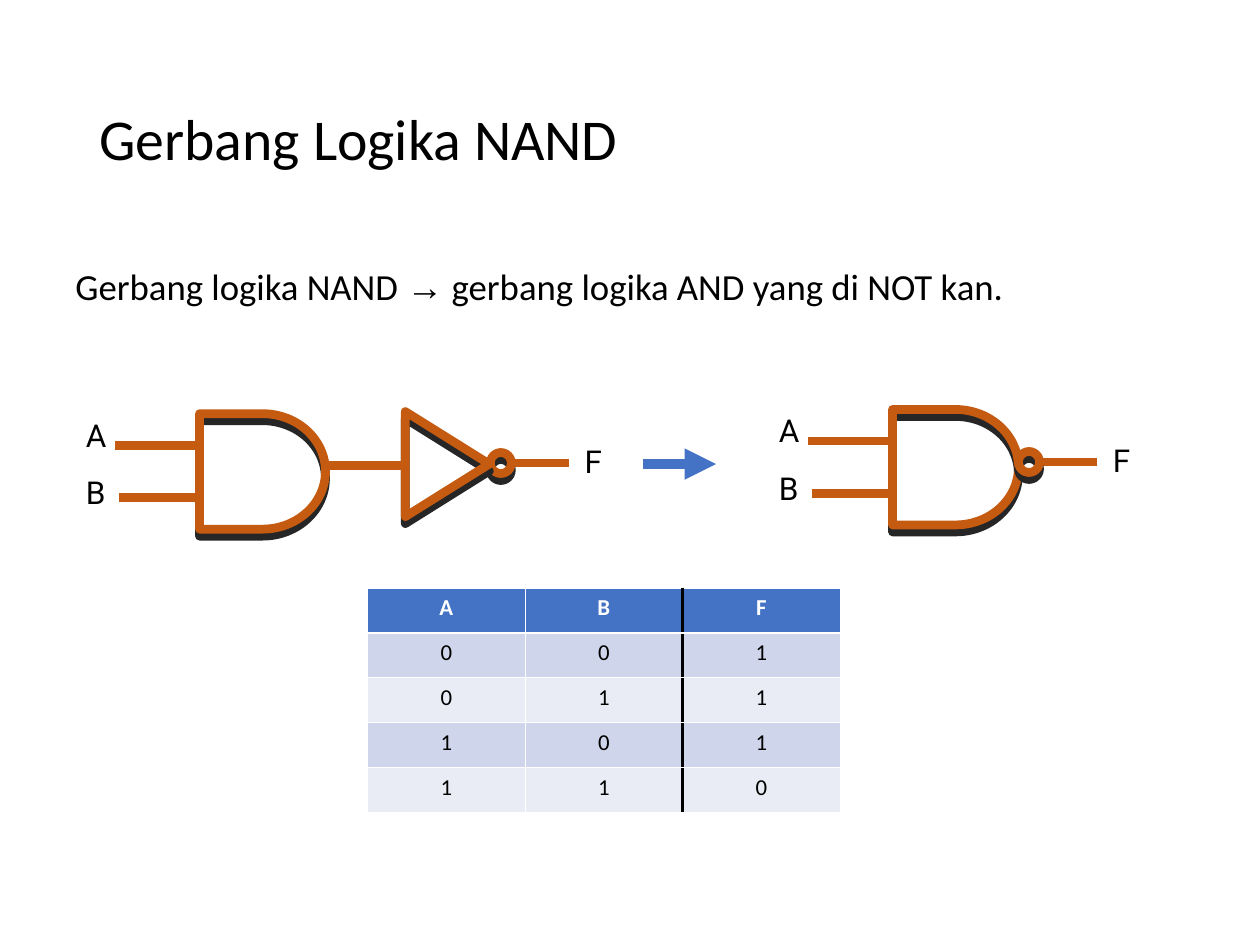
from lxml.etree import SubElement
from pptx import Presentation
from pptx.dml.color import RGBColor
from pptx.enum.shapes import MSO_CONNECTOR as Connector, MSO_SHAPE as Shape
from pptx.enum.text import MSO_ANCHOR as Anchor, PP_ALIGN as Align
from pptx.oxml.ns import qn
from pptx.util import Inches, Pt

COLUMNS, ROWS = 120, 90
ORANGE, BLUE, BLACK, WHITE, SHADE = "C55A11", "4472C4", "000000", "FFFFFF", "262626"
BANDS = "CFD5EA", "E9EBF5"


def color(value):
    return RGBColor.from_string(value)


class SlideBuilder:
    """Places styled elements on the current slide, in cells of a 120 by 90 grid."""

    def __init__(self, presentation):
        self.slide = presentation.slides.add_slide(presentation.slide_layouts[6])
        self.shapes = self.slide.shapes
        self.column = presentation.slide_width / COLUMNS
        self.row = presentation.slide_height / ROWS

    def place(self, left, top, width, height):
        return (round(left * self.column), round(top * self.row),
                round(width * self.column), round(height * self.row))

    def start_group(self):
        self.shapes = self.slide.shapes.add_group_shape().shapes

    def end_group(self):
        self.shapes = self.slide.shapes

    def font(self, run, size, name="Calibri", fill=BLACK, bold=False):
        run.font.size, run.font.name, run.font.bold = Pt(size), name, bold
        run.font.color.rgb = color(fill)

    def text(self, box, parts, size, wrap=True, anchor=Anchor.TOP, spacing=None):
        frame = self.shapes.add_textbox(*self.place(*box)).text_frame
        frame.word_wrap, frame.vertical_anchor = wrap, anchor
        paragraph = frame.paragraphs[0]
        paragraph.line_spacing = spacing
        for words, name in parts:
            run = paragraph.add_run()
            run.text = words
            self.font(run, size, name)

    def label(self, words, left, top):
        self.text((left, top, 4.3, 4.8), [(words, "Roboto")], 18, wrap=False)

    def outline(self, kind, box, rotation=0):
        shape = self.shapes.add_shape(kind, *self.place(*box))
        shape.rotation = rotation
        shape.fill.background()
        shape.line.color.rgb, shape.line.width = color(ORANGE), Pt(5)
        shape.shadow.inherit = False
        effects = shape._element.spPr.find(qn("a:effectLst"))
        shadow = SubElement(effects, qn("a:outerShdw"), dist=str(Pt(4)),
                            dir="5400000", algn="t", rotWithShape="0")
        SubElement(shadow, qn("a:srgbClr"), val=SHADE)

    def wire(self, start, end, y, fill=ORANGE, width=5, arrow=False):
        left, top, span, _ = self.place(start, y, end - start, 0)
        line = self.shapes.add_connector(Connector.STRAIGHT, left, top, left + span, top)
        line.line.color.rgb, line.line.width = color(fill), Pt(width)
        if arrow:
            SubElement(line.line._get_or_add_ln(), qn("a:tailEnd"), type="triangle")
        SubElement(line._element.spPr, qn("a:effectLst"))

    def and_gate(self, left, top):
        self.outline(Shape.FLOWCHART_DELAY, (left, top, 12, 11))
        self.wire(left - 8, left, top + 3)
        self.wire(left - 7.7, left, top + 8)
        self.label("A", left - 12, top - 0.4)
        self.label("B", left - 12, top + 5.1)

    def inverted_output(self, left, top):
        self.wire(left + 2, left + 7.5, top + 1)
        self.outline(Shape.OVAL, (left, top, 2, 2))
        self.label("F", left + 7.8, top - 1.6)

    def border(self, cell, side, fill, width):
        line = SubElement(cell._tc.get_or_add_tcPr(), qn(f"a:ln{side}"), w=str(Pt(width)))
        SubElement(SubElement(line, qn("a:solidFill")), qn("a:srgbClr"), val=fill)

    def truth_table(self, box, rows):
        table = self.shapes.add_table(len(rows), len(rows[0]), *self.place(*box)).table
        output = len(rows[0]) - 1
        for r, values in enumerate(rows):
            for c, value in enumerate(values):
                cell = table.cell(r, c)
                thin, divider = (WHITE, 0.45), (BLACK, 1.5)
                self.border(cell, "L", *(divider if c == output else thin))
                self.border(cell, "R", *(divider if c == output - 1 else thin))
                self.border(cell, "T", WHITE, 1.5 if r == 1 else 0.45)
                self.border(cell, "B", WHITE, 1.5 if r == 0 else 0.45)
                cell.fill.solid()
                cell.fill.fore_color.rgb = color(BANDS[(r - 1) % 2] if r else BLUE)
                cell.text_frame.text = str(value)
                paragraph = cell.text_frame.paragraphs[0]
                paragraph.alignment = Align.CENTER
                self.font(paragraph.runs[0], 13, fill=BLACK if r else WHITE, bold=r == 0)


def main():
    presentation = Presentation()
    presentation.slide_width, presentation.slide_height = Inches(10), Inches(7.5)
    builder = SlideBuilder(presentation)

    builder.text((8.3, 4.8, 103.5, 17.4), [("Gerbang Logika NAND", "Calibri")], 33,
                 anchor=Anchor.MIDDLE, spacing=0.9)
    builder.text((6, 25, 108, 57.6),
                 [("Gerbang logika NAND ", "Calibri"), ("→", "Arial"),
                  (" gerbang logika AND yang di NOT kan.", "Calibri")], 21, spacing=0.9)
    inputs = [(a, b) for a in (0, 1) for b in (0, 1)]
    builder.truth_table((35, 56, 45, 21.4),
                        [("A", "B", "F")] + [(a, b, 1 - (a & b)) for a, b in inputs])

    builder.start_group()
    builder.and_gate(85, 39)
    builder.inverted_output(97, 43)

    builder.start_group()
    builder.inverted_output(46.7, 43.1)
    builder.outline(Shape.ISOSCELES_TRIANGLE, (37.6, 40.2, 10, 8), rotation=90)
    builder.and_gate(19, 39.4)
    builder.wire(30.6, 38.4, 44.35)

    builder.end_group()
    builder.wire(61.2, 68.2, 44.2, BLUE, 6, arrow=True)
    presentation.save("out.pptx")


if __name__ == "__main__":
    main()
